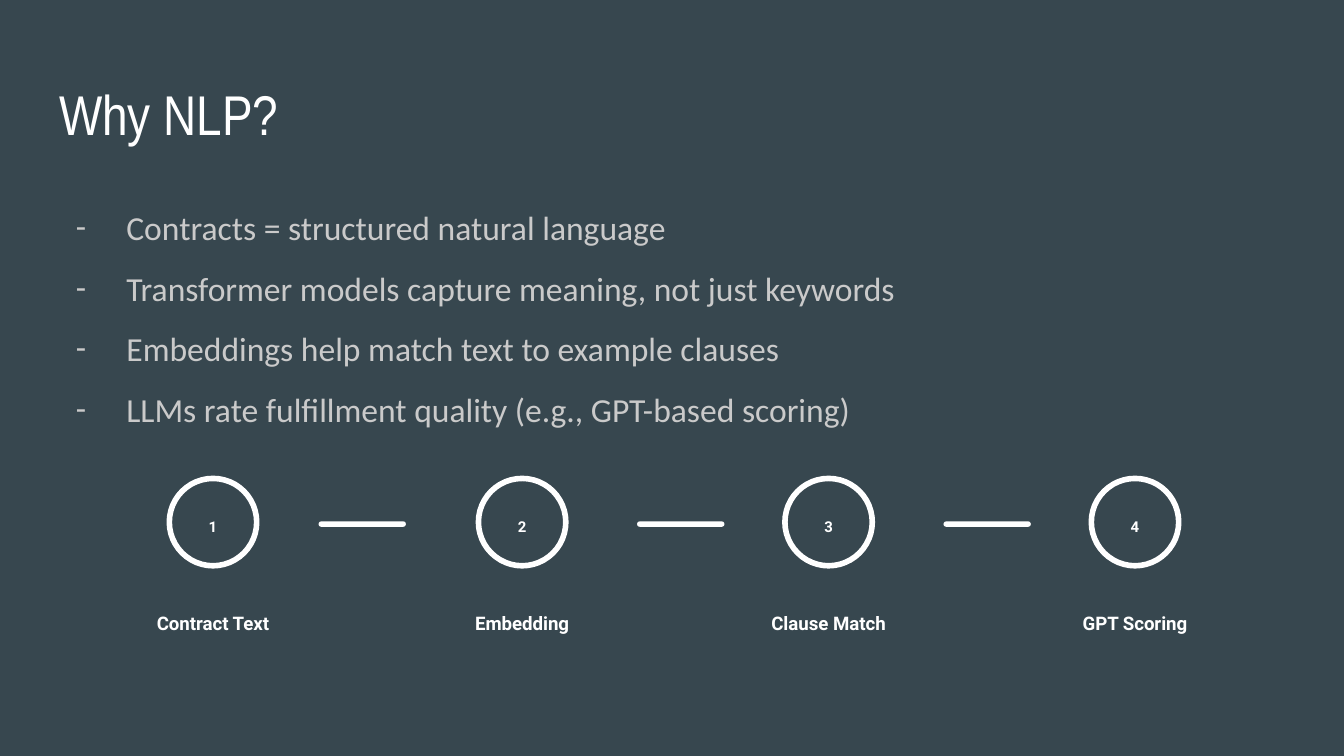
from lxml import etree
from pptx import Presentation
from pptx.dml.color import RGBColor
from pptx.enum.shapes import MSO_SHAPE
from pptx.enum.text import MSO_ANCHOR, MSO_AUTO_SIZE, PP_ALIGN
from pptx.oxml.ns import qn
from pptx.util import Inches, Pt

OVAL, BAR = MSO_SHAPE.OVAL, MSO_SHAPE.ROUNDED_RECTANGLE
TOP, BOTTOM = MSO_ANCHOR.TOP, MSO_ANCHOR.BOTTOM
LEFT, CENTER = PP_ALIGN.LEFT, PP_ALIGN.CENTER

# Content
TITLE = "Why NLP?"
POINTS = [
    "Contracts = structured natural language",
    "Transformer models capture meaning, not just keywords",
    "Embeddings help match text to example clauses",
    "LLMs rate fulfillment quality (e.g., GPT-based scoring)",
]
# Step label and the left edge of its circle
STEPS = [
    ("Contract Text", 1.26),
    ("Embedding", 3.56),
    ("Clause Match", 5.84),
    ("GPT Scoring", 8.12),
]
BARS = [2.37, 4.74, 7.02]
SLATE, WHITE, GREY = "37474F", "FFFFFF", "CACACA"
WIDE, SIZE = 10, 0.65


def color(code):
    return RGBColor.from_string(code)


def place(shape, x, y, w, h):
    shape.left, shape.top = Inches(x), Inches(y)
    shape.width, shape.height = Inches(w), Inches(h)


def write(shape, lines, font, size, code, align=LEFT, anchor=TOP,
          space=1.0, bold=False, bullet=None):
    frame = shape.text_frame
    frame.text = "\n".join(lines)
    frame.word_wrap = True
    frame.auto_size = MSO_AUTO_SIZE.NONE
    frame.vertical_anchor = anchor
    frame.margin_left = frame.margin_right = Inches(0.1)
    frame.margin_top = frame.margin_bottom = Inches(0.1)
    for para in frame.paragraphs:
        if bullet:
            mark(para, bullet, code)
        para.alignment = align
        para.line_spacing = space
        para.space_before = para.space_after = Pt(0)
        for run in para.runs:
            run.font.name, run.font.size = font, Pt(size)
            run.font.bold = bold
            run.font.color.rgb = color(code)


def mark(para, char, code):
    props = para._p.get_or_add_pPr()
    props.set("marL", str(Inches(0.5)))
    props.set("indent", str(-Pt(27)))
    tint = etree.SubElement(props, qn("a:buClr"))
    etree.SubElement(tint, qn("a:srgbClr"), val=code)
    etree.SubElement(props, qn("a:buFont"), typeface="Calibri")
    etree.SubElement(props, qn("a:buChar"), char=char)


# A 16:9 slide
deck = Presentation()
deck.slide_width, deck.slide_height = Inches(WIDE), Inches(WIDE * 9 / 16)
slide = deck.slides.add_slide(deck.slide_layouts[1])
slide.background.fill.solid()
slide.background.fill.fore_color.rgb = color(SLATE)

# Title and list
title, body = slide.shapes.title, slide.placeholders[1]
place(title, 0.34, 0.49, 9.32, 0.63)
write(title, [TITLE], "Arial Narrow", 30, WHITE)
place(body, 0.34, 1.29, 9.32, 3.05)
write(body, POINTS, "Calibri", 18, GREY, space=1.5, bullet="-")

# Bars between the steps
for x in BARS:
    bar = slide.shapes.add_shape(BAR, Inches(x), Inches(3.88),
                                 Inches(SIZE), Inches(0.04))
    bar.adjustments[0] = 0.5
    bar.shadow.inherit = False
    bar.fill.solid()
    bar.fill.fore_color.rgb = color(WHITE)
    bar.line.fill.background()

# Steps: circle, number and label in one group
for num, (label, x) in enumerate(STEPS, 1):
    mid = x + SIZE / 2
    group = slide.shapes.add_group_shape()
    ring = group.shapes.add_shape(OVAL, Inches(x), Inches(3.56),
                                  Inches(SIZE), Inches(SIZE))
    ring.shadow.inherit = False
    ring.fill.background()
    ring.line.color.rgb = color(WHITE)
    ring.line.width = Pt(3)
    for text, y, w, h, size, anchor in [
        (str(num), 3.73, 0.48, 0.35, 8, TOP),
        (label, 4.33, 1.87, 0.49, 10, BOTTOM),
    ]:
        box = group.shapes.add_textbox(Inches(mid - w / 2), Inches(y),
                                       Inches(w), Inches(h))
        write(box, [text], "Roboto", size, WHITE, CENTER, anchor, 1.15, True)

deck.save("out.pptx")
